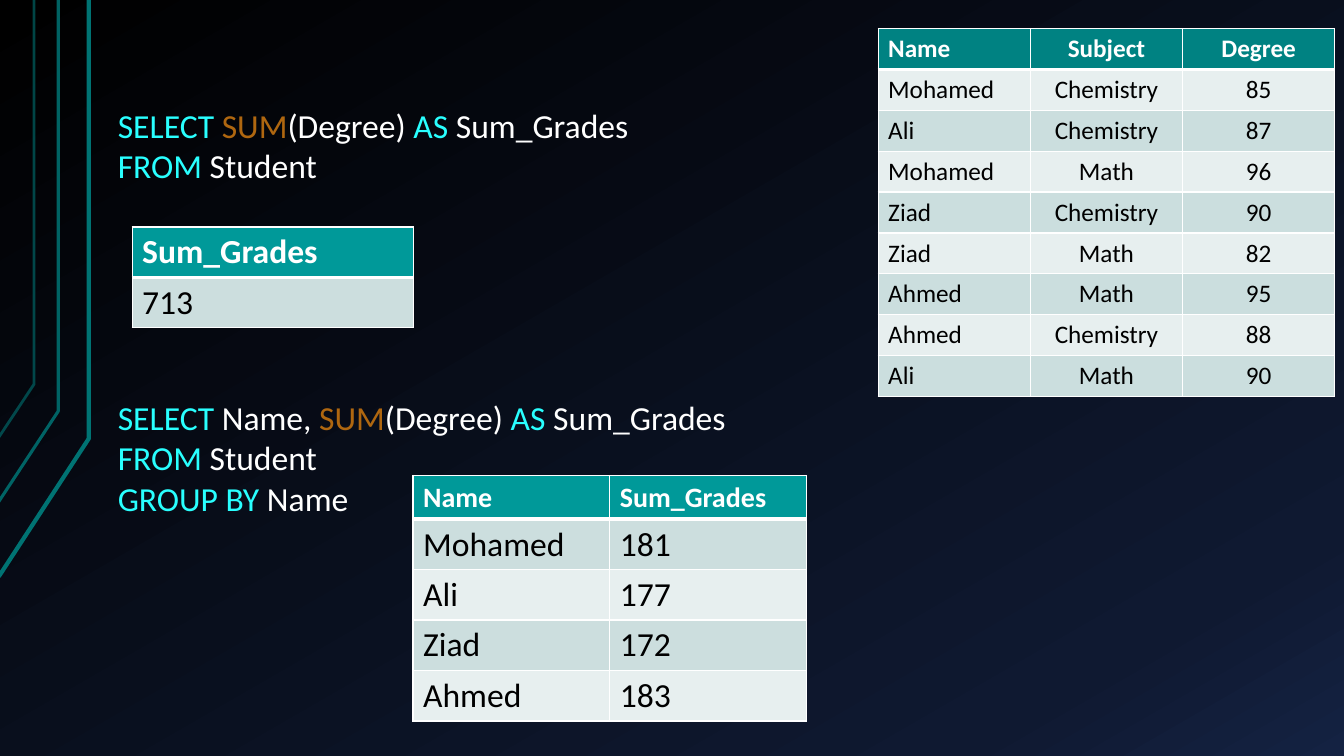
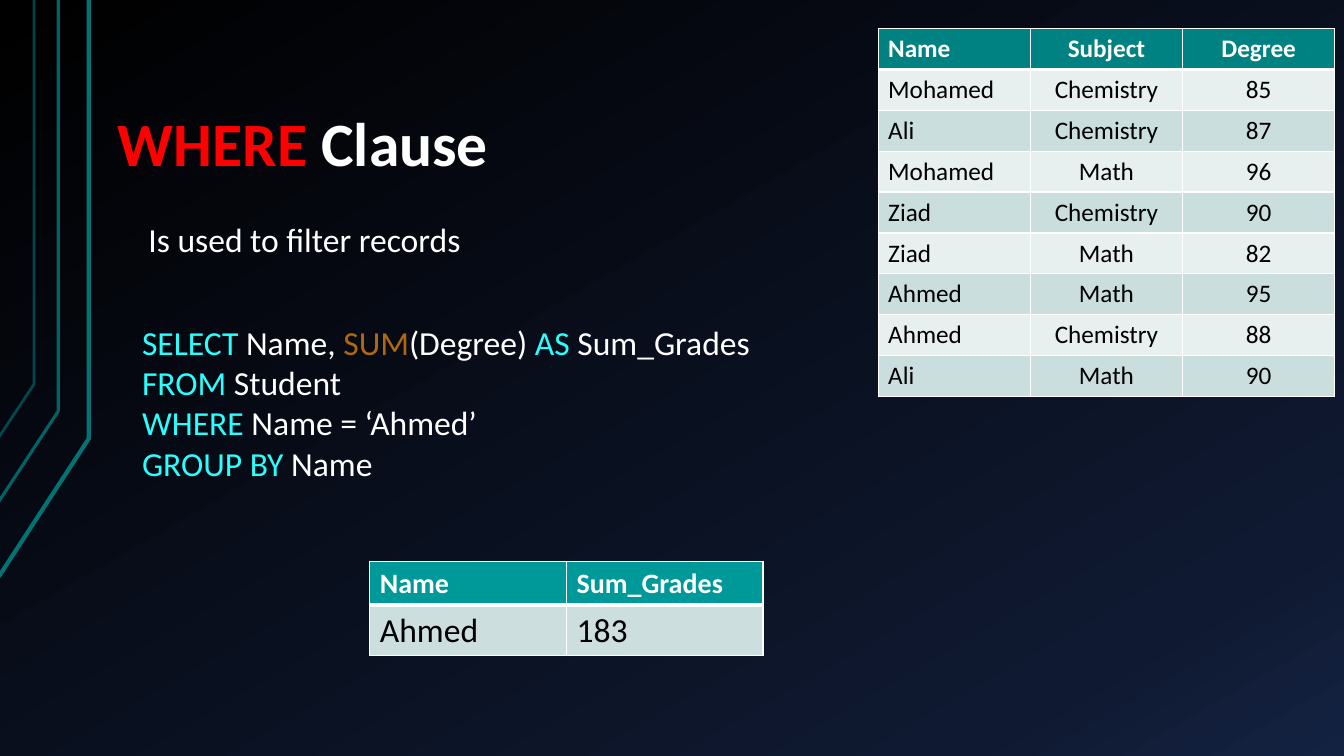
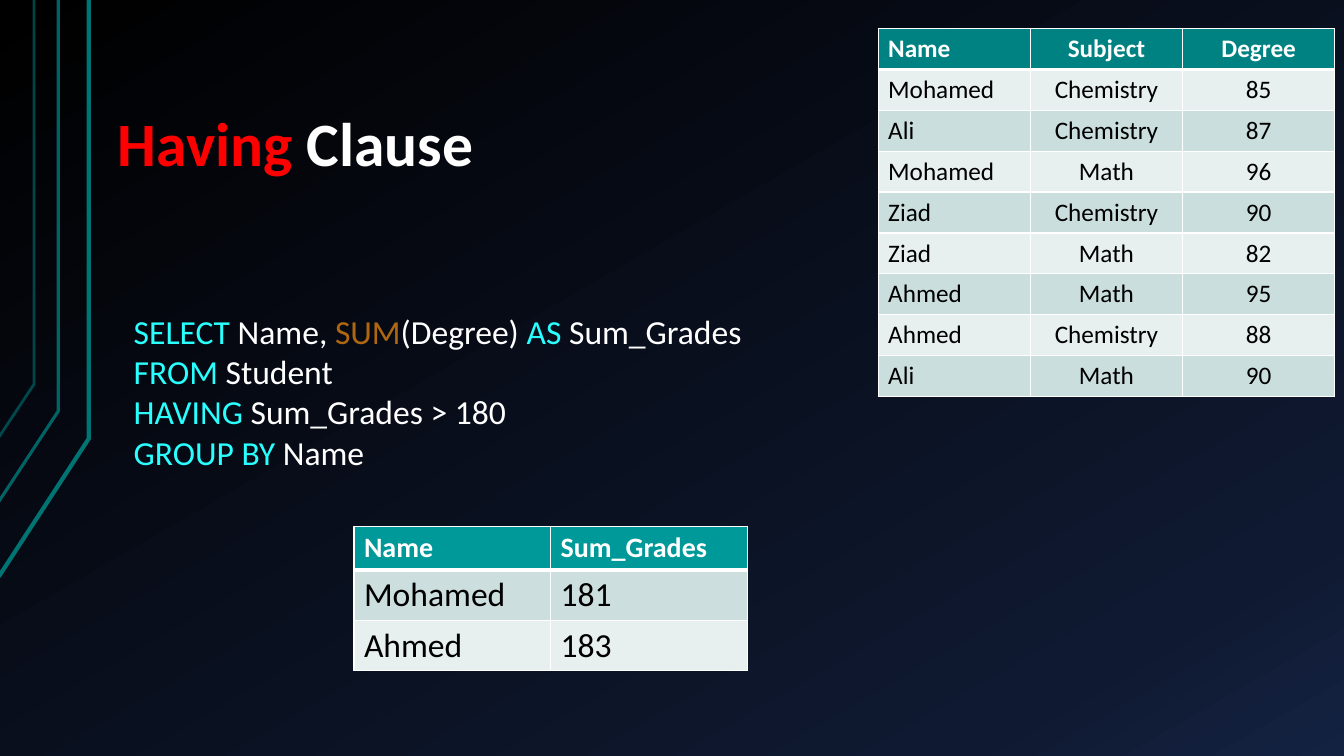
import copy
import pptx
import pptx.dml.color
import pptx.enum.dml
import pptx.enum.text
import pptx.oxml
import pptx.oxml.ns
import pptx.util

Cm = pptx.util.Cm
Pt = pptx.util.Pt
Rgb = pptx.dml.color.RGBColor.from_string
qn = pptx.oxml.ns.qn


class Theme:
    font = "Calibri"
    white, black, red = "FFFFFF", "000000", "FF0000"
    word, sum = "29FFFF", "AF6710"
    line = "007373"
    back = [(0, "000000"), (0.85, "0F1931"), (1, "142242")]
    data = ("008282", "E7EFEF", "CBDEDE")
    answer = ("009999", "CCDEDE", "E7EFEF")
    title, body, label, small = 44, 24, 20, 18


def write(frame, lines, size, bold=False):
    for index, line in enumerate(lines):
        para = frame.paragraphs[0] if index == 0 else frame.add_paragraph()
        for text, color in line:
            run = para.add_run()
            run.text = text
            run.font.name = Theme.font
            run.font.size = Pt(size)
            run.font.bold = bold
            run.font.color.rgb = Rgb(color)


def grid(page, left, top, width, rows, fills, sizes, heights, centre=False):
    count = len(rows[0])
    total = heights[0] + heights[1] * (len(rows) - 1)
    table = page.shapes.add_table(
        len(rows), count, Cm(left), Cm(top), Cm(width), Cm(total)).table
    for column in table.columns:
        column.width = Cm(width / count)
    for r, row in enumerate(rows):
        head = r == 0
        table.rows[r].height = Cm(heights[0 if head else 1])
        for c, text in enumerate(row):
            cell = table.cell(r, c)
            props = cell._tc.get_or_add_tcPr()
            for side in ("lnL", "lnR", "lnT", "lnB"):
                thick = (head and side == "lnB") or (r == 1 and side == "lnT")
                edge = props.makeelement(qn("a:" + side), {"w": str(Pt(3 if thick else 1))})
                fill = edge.makeelement(qn("a:solidFill"), {})
                fill.append(fill.makeelement(qn("a:srgbClr"), {"val": Theme.white}))
                edge.append(fill)
                props.append(edge)
            cell.fill.solid()
            cell.fill.fore_color.rgb = Rgb(fills[0 if head else 2 - r % 2])
            color = Theme.white if head else Theme.black
            write(cell.text_frame, [[(text, color)]], sizes[0 if head else 1], head)
            if centre:
                cell.vertical_anchor = pptx.enum.text.MSO_ANCHOR.MIDDLE
                if c:
                    cell.text_frame.paragraphs[0].alignment = pptx.enum.text.PP_ALIGN.CENTER


deck = pptx.Presentation()
deck.slide_width, deck.slide_height = Cm(33.87), Cm(19.05)
master = deck.slide_master
pages = [deck.slides.add_slide(deck.slide_layouts[6]) for _ in range(3)]

fill = master.background.fill
fill.gradient()
fill.gradient_angle = 300
stops = master.element.find(".//" + qn("p:bg")).find(".//" + qn("a:gsLst"))
stops.append(copy.deepcopy(stops[-1]))
for stop, (place, color) in zip(fill.gradient_stops, Theme.back):
    stop.position = place
    stop.color.rgb = Rgb(color)

for start, bend, x, weight, alpha in [
        ((-0.03, 14.53), 11.05, 2.24, 3, 100),
        ((-0.05, 12.67), 10.36, 1.47, 2.25, 85),
        ((-0.03, 11.02), 9.68, 0.86, 2, 60)]:
    draft = pages[0].shapes.build_freeform(Cm(start[0]), Cm(start[1]))
    draft.add_line_segments([(Cm(x), Cm(bend)), (Cm(x), 0)], close=False)
    shape = draft.convert_to_shape()
    shape.shadow.inherit = False
    shape.fill.background()
    shape.line.width = Pt(weight)
    shape.line.color.rgb = Rgb(Theme.line)
    color = shape.element.find(".//" + qn("a:ln")).find(".//" + qn("a:srgbClr"))
    color.append(color.makeelement(qn("a:alpha"), {"val": str(alpha * 1000)}))
    master.shapes.element.append(shape.element)

grades = [
    ("Name", "Subject", "Degree"),
    ("Mohamed", "Chemistry", "85"),
    ("Ali", "Chemistry", "87"),
    ("Mohamed", "Math", "96"),
    ("Ziad", "Chemistry", "90"),
    ("Ziad", "Math", "82"),
    ("Ahmed", "Math", "95"),
    ("Ahmed", "Chemistry", "88"),
    ("Ali", "Math", "90"),
]
for page in pages:
    grid(page, 22.13, 0.72, 11.51, grades, Theme.data,
         (Theme.small, Theme.small), (1.03, 1.03), True)

total = [("SUM", Theme.sum), ("(Degree) ", Theme.white),
         ("AS", Theme.word), (" Sum_Grades", Theme.white)]
every = [("SELECT ", Theme.word)] + total
names = [("SELECT", Theme.word), (" Name, ", Theme.white)] + total
source = [("FROM", Theme.word), (" Student", Theme.white)]
group = [("GROUP BY ", Theme.word), ("Name", Theme.white)]
where = [("WHERE", Theme.word), (" Name = ‘Ahmed’", Theme.white)]
having = [("HAVING", Theme.word), (" Sum_Grades > 180", Theme.white)]
titles = [[(name, Theme.red), ("Clause", Theme.white)] for name in ("WHERE ", "Having ")]

for page, left, top, width, height, lines, size in [
        (0, 2.72, 2.51, 14.2, 2.31, [every, source], Theme.body),
        (0, 2.72, 9.88, 16.41, 3.33, [names, source, group], Theme.body),
        (1, 2.72, 2.51, 18.01, 4.19, titles[:1], Theme.title),
        (1, 3.33, 7.98, 16.41, 4.37, [names, source, where, group], Theme.body),
        (2, 2.72, 2.51, 18.59, 2.13, titles[1:], Theme.title),
        (2, 3.12, 7.7, 16.41, 4.37, [names, source, having, group], Theme.body)]:
    box = pages[page].shapes.add_textbox(Cm(left), Cm(top), Cm(width), Cm(height))
    frame = box.text_frame
    frame.word_wrap = True
    write(frame, lines, size, size == Theme.title)
    if page == 1 and size == Theme.title:
        para = frame.add_paragraph()
        para.text = "Is used to filter records"
        para.space_before = Pt(29)
        para._p.get_or_add_pPr().set("marL", str(Cm(0.77)))
        font = para.runs[0].font
        font.name, font.size = Theme.font, Pt(Theme.body)
        font.color.rgb = Rgb(Theme.white)

grid(pages[0], 3.33, 5.72, 7.09, [("Sum_Grades",), ("713",)], Theme.answer,
     (Theme.body, Theme.body), (1.27, 1.27))
head = ("Name", "Sum_Grades")
sums = {"Mohamed": "181", "Ali": "177", "Ziad": "172", "Ahmed": "183"}
for page, left, top, people in [
        (0, 10.41, 11.98, list(sums)),
        (1, 9.32, 14.15, ["Ahmed"]),
        (2, 8.92, 13.26, ["Mohamed", "Ahmed"])]:
    rows = [head] + [(name, sums[name]) for name in people]
    grid(pages[page], left, top, 9.91, rows, Theme.answer,
         (Theme.label, Theme.body), (1.1, 1.27))

deck.save("out.pptx")
